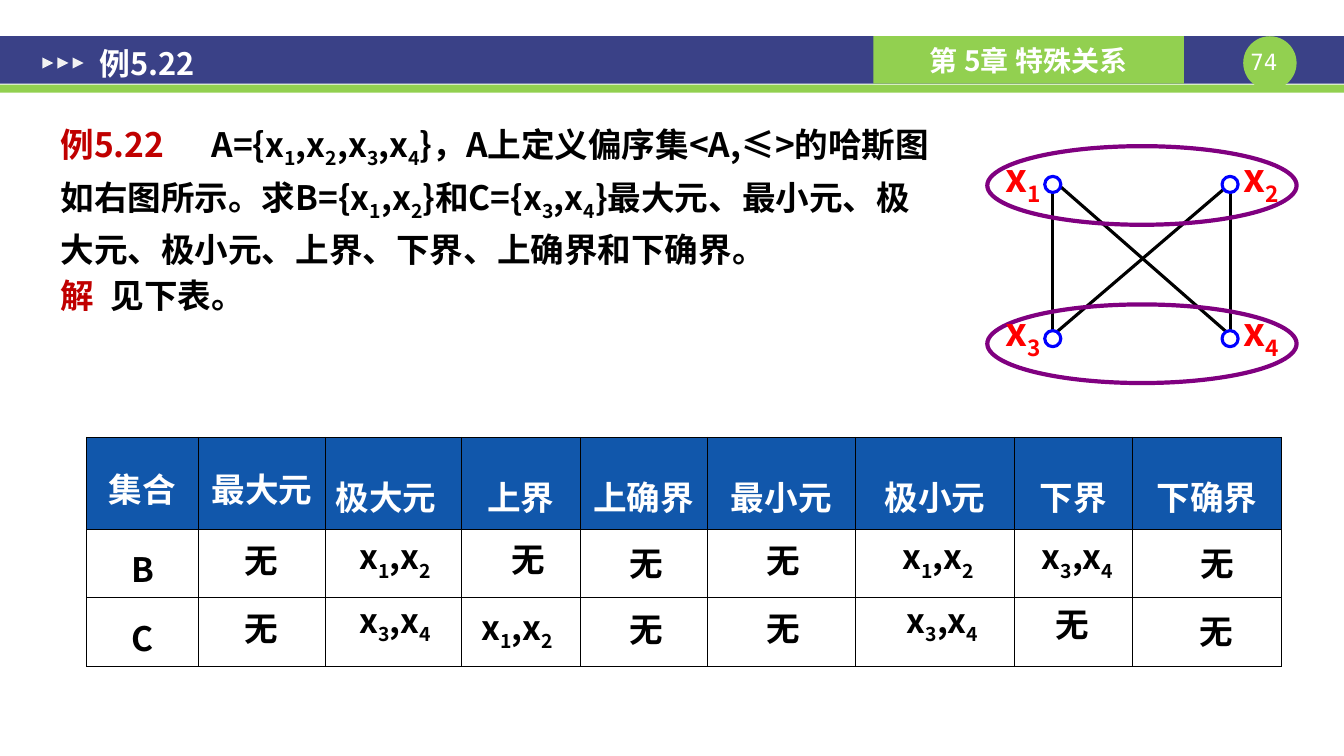
"""Build the Example 5.22 slide: a Hasse diagram and a table of extremal elements."""
from lxml.etree import SubElement
from pptx import Presentation
from pptx.dml.color import RGBColor
from pptx.enum.shapes import MSO_CONNECTOR, MSO_SHAPE
from pptx.enum.text import MSO_ANCHOR, PP_ALIGN
from pptx.oxml.ns import qn
from pptx.util import Inches, Pt

COLORS = {
    "navy": "3A4187", "green": "92D050", "arrow": "F2F2F2", "white": "FFFFFF",
    "black": "000000", "dark red": "C00000", "red": "FF0000", "header": "1157AB",
    "purple": "800080", "blue": "0000FF",
}
FONT = "Noto Sans CJK SC"


def write(paragraph, text, size, color, font=FONT, bold=True):
    """Append text to a paragraph, with the parts between tildes as subscripts."""
    for position, part in enumerate(text.split("~")):
        if not part:
            continue
        run = paragraph.add_run()
        run.text = part
        run.font.size = Pt(size)
        run.font.bold = bold
        run.font.name = font
        run.font.color.rgb = RGBColor.from_string(COLORS[color])
        SubElement(run.font._element, qn("a:ea"), typeface=font)
        if position % 2:
            run.font._element.set("baseline", "-25000")


def draw(kind, left, top, width, height, fill=None, line=None, weight=1):
    """Add a preset shape without shadow."""
    shape = slide.shapes.add_shape(
        kind, Inches(left), Inches(top), Inches(width), Inches(height))
    shape.shadow.inherit = False
    if fill:
        shape.fill.solid()
        shape.fill.fore_color.rgb = RGBColor.from_string(COLORS[fill])
    else:
        shape.fill.background()
    if line:
        shape.line.color.rgb = RGBColor.from_string(COLORS[line])
        shape.line.width = Pt(weight)
    else:
        shape.line.fill.background()
    return shape


prs = Presentation()
prs.slide_width = Inches(13.34)
prs.slide_height = Inches(7.5)
slide = prs.slides.add_slide(prs.slide_layouts[1])

draw(MSO_SHAPE.RECTANGLE, 0, 0.36, 13.34, 0.47, "navy")
draw(MSO_SHAPE.RECTANGLE, 0, 0.84, 13.34, 0.08, "green")
draw(MSO_SHAPE.OVAL, 12.34, 0.36, 0.53, 0.53, "green")
chapter = draw(MSO_SHAPE.RECTANGLE, 8.67, 0.36, 3.08, 0.47, "green")
chapter.text_frame.vertical_anchor = MSO_ANCHOR.MIDDLE
chapter.text_frame.paragraphs[0].alignment = PP_ALIGN.CENTER
write(chapter.text_frame.paragraphs[0], "第 5章 特殊关系", 20, "white")
for step in range(3):
    arrow = draw(MSO_SHAPE.ISOSCELES_TRIANGLE, 0.42 + 0.15 * step, 0.57, 0.11, 0.11, "arrow")
    arrow.rotation = 90

title, body = slide.shapes.title, slide.placeholders[1]
arrow.element.addnext(title.element)
title.element.addnext(body.element)
for holder, left, top, width, height in (
        (title, 0.86, 0.31, 11.77, 0.64), (body, 0.47, 1.09, 12.53, 2.44)):
    holder.left, holder.top = Inches(left), Inches(top)
    holder.width, holder.height = Inches(width), Inches(height)
    frame = holder.text_frame
    frame.margin_left = frame.margin_right = Inches(0.13)
    frame.margin_top = frame.margin_bottom = Inches(0.07)
title.text_frame.vertical_anchor = MSO_ANCHOR.MIDDLE
title.text_frame.paragraphs[0].alignment = PP_ALIGN.LEFT
write(title.text_frame.paragraphs[0], "例5.22", 22, "white")

problem = [
    ("例5.22", 1.26, "A={x~1~,x~2~,x~3~,x~4~}，A上定义偏序集<A,≤>的哈斯图"),
    ("", 0, "如右图所示。求B={x~1~,x~2~}和C={x~3~,x~4~}最大元、最小元、极"),
    ("", 0, "大元、极小元、上界、下界、上确界和下确界。"),
    ("解", 0.56, "见下表。"),
]
body.text_frame.vertical_anchor = MSO_ANCHOR.TOP
for index, (lead, tab, statement) in enumerate(problem):
    paragraph = body.text_frame.add_paragraph() if index else body.text_frame.paragraphs[0]
    properties = paragraph._p.get_or_add_pPr()
    properties.set("marL", "0")
    properties.set("indent", "0")
    SubElement(properties, qn("a:buNone"))
    if lead:
        tabs = SubElement(properties, qn("a:tabLst"))
        SubElement(tabs, qn("a:tab"), pos=str(Inches(tab)), algn="l")
        write(paragraph, lead + "\t", 24, "dark red")
    paragraph.line_spacing = 1.15
    paragraph.space_before = Pt(0)
    write(paragraph, statement, 24, "black")

headings = ["集合", "最大元", "极大元", "上界", "上确界", "最小元", "极小元", "下界", "下确界"]
column_widths = [1.11, 1.26, 1.35, 1.18, 1.26, 1.47, 1.58, 1.17, 1.48]
row_heights = [0.91, 0.63, 0.63]
table = slide.shapes.add_table(
    3, 9, Inches(0.86), Inches(4.34), Inches(11.88), Inches(2.18)).table
table.first_row = table.horz_banding = False
for column, width in zip(table.columns, column_widths):
    column.width = Inches(width)
for row, height in zip(table.rows, row_heights):
    row.height = Inches(height)
for cell in table.iter_cells():
    cell.vertical_anchor = MSO_ANCHOR.MIDDLE
    for side in ("lnL", "lnR", "lnT", "lnB"):
        border = SubElement(cell._tc.get_or_add_tcPr(), qn("a:" + side), w=str(Pt(1)))
        SubElement(SubElement(border, qn("a:solidFill")), qn("a:srgbClr"), val=COLORS["black"])
    cell.fill.background()
for index, heading in enumerate(headings):
    cell = table.cell(0, index)
    cell.fill.solid()
    cell.fill.fore_color.rgb = RGBColor.from_string(COLORS["header"])
    paragraph = cell.text_frame.paragraphs[0]
    paragraph.alignment = PP_ALIGN.LEFT if heading == "极大元" else PP_ALIGN.CENTER
    paragraph.line_spacing = 1.2 if index < 2 else 1.5
    write(paragraph, heading, 24, "white")
for index, name in enumerate("BC", 1):
    paragraph = table.cell(index, 0).text_frame.paragraphs[0]
    paragraph.alignment = PP_ALIGN.CENTER
    paragraph.line_spacing = 1.2
    write(paragraph, name, 24, "black")

upper, lower, none = "x~1~,x~2~", "x~3~,x~4~", "无"
answers = [
    (none, 2.32, 5.31), (upper, 3.44, 5.27), (none, 4.97, 5.3), (none, 6.14, 5.34),
    (none, 7.51, 5.31), (upper, 8.83, 5.27), (lower, 10.21, 5.27), (none, 11.81, 5.34),
    (none, 2.32, 5.98), (lower, 3.44, 5.9), (upper, 4.65, 5.97), (none, 6.15, 5.99),
    (none, 7.5, 5.98), (lower, 8.87, 5.9), (none, 10.37, 5.94), (none, 11.8, 6.01),
]
for answer, left, top in answers:
    width = 0.54 if answer == none else 0.97
    box = slide.shapes.add_textbox(Inches(left), Inches(top), Inches(width), Inches(0.5))
    box.text_frame.word_wrap = False
    box.text_frame.paragraphs[0].alignment = PP_ALIGN.CENTER
    write(box.text_frame.paragraphs[0], answer, 24, "black")

edges = [
    (10.45, 1.85, 10.45, 3.28), (12.21, 1.84, 12.21, 3.29),
    (10.49, 1.82, 12.17, 3.29), (12.19, 1.84, 10.47, 3.31),
]
for ends in edges:
    edge = slide.shapes.add_connector(MSO_CONNECTOR.STRAIGHT, *map(Inches, ends))
    edge.line.color.rgb = RGBColor.from_string(COLORS["black"])
    edge.line.width = Pt(2.25)
    SubElement(edge.element.spPr, qn("a:effectLst"))
for top in (1.45, 3.02):
    draw(MSO_SHAPE.OVAL, 9.8, top, 3.07, 0.78, line="purple", weight=3)
for left, top in ((10.37, 1.75), (12.13, 1.75), (10.37, 3.28), (12.13, 3.28)):
    draw(MSO_SHAPE.OVAL, left, top, 0.16, 0.16, "white", "blue", 2.25)

labels = [
    ("x~1~", 9.98, 1.52, 0.39, 0.47, 28, "red", FONT, True),
    ("x~2~", 12.34, 1.52, 0.39, 0.47, 28, "red", FONT, True),
    ("x~3~", 9.98, 3.05, 0.39, 0.47, 28, "red", FONT, True),
    ("x~4~", 12.34, 3.05, 0.39, 0.47, 28, "red", FONT, True),
    ("74", 12.28, 0.48, 0.53, 0.27, 16, "white", "DejaVu Sans Mono", False),
]
for label, left, top, width, height, size, color, font, bold in labels:
    box = slide.shapes.add_textbox(Inches(left), Inches(top), Inches(width), Inches(height))
    frame = box.text_frame
    frame.word_wrap = True
    frame.margin_left = frame.margin_right = frame.margin_top = frame.margin_bottom = 0
    frame.paragraphs[0].alignment = PP_ALIGN.LEFT if bold else PP_ALIGN.CENTER
    write(frame.paragraphs[0], label, size, color, font, bold)

prs.save("out.pptx")
